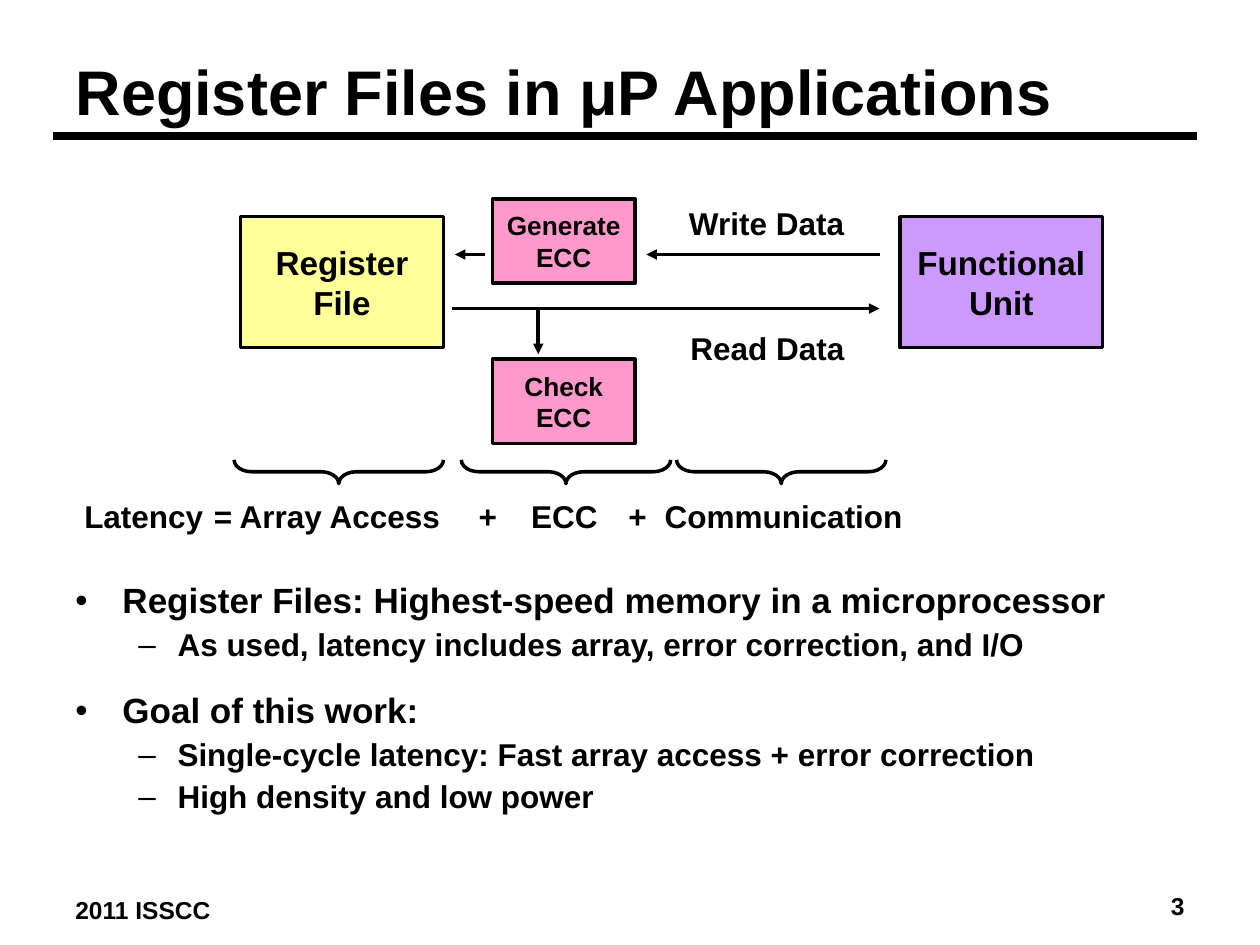
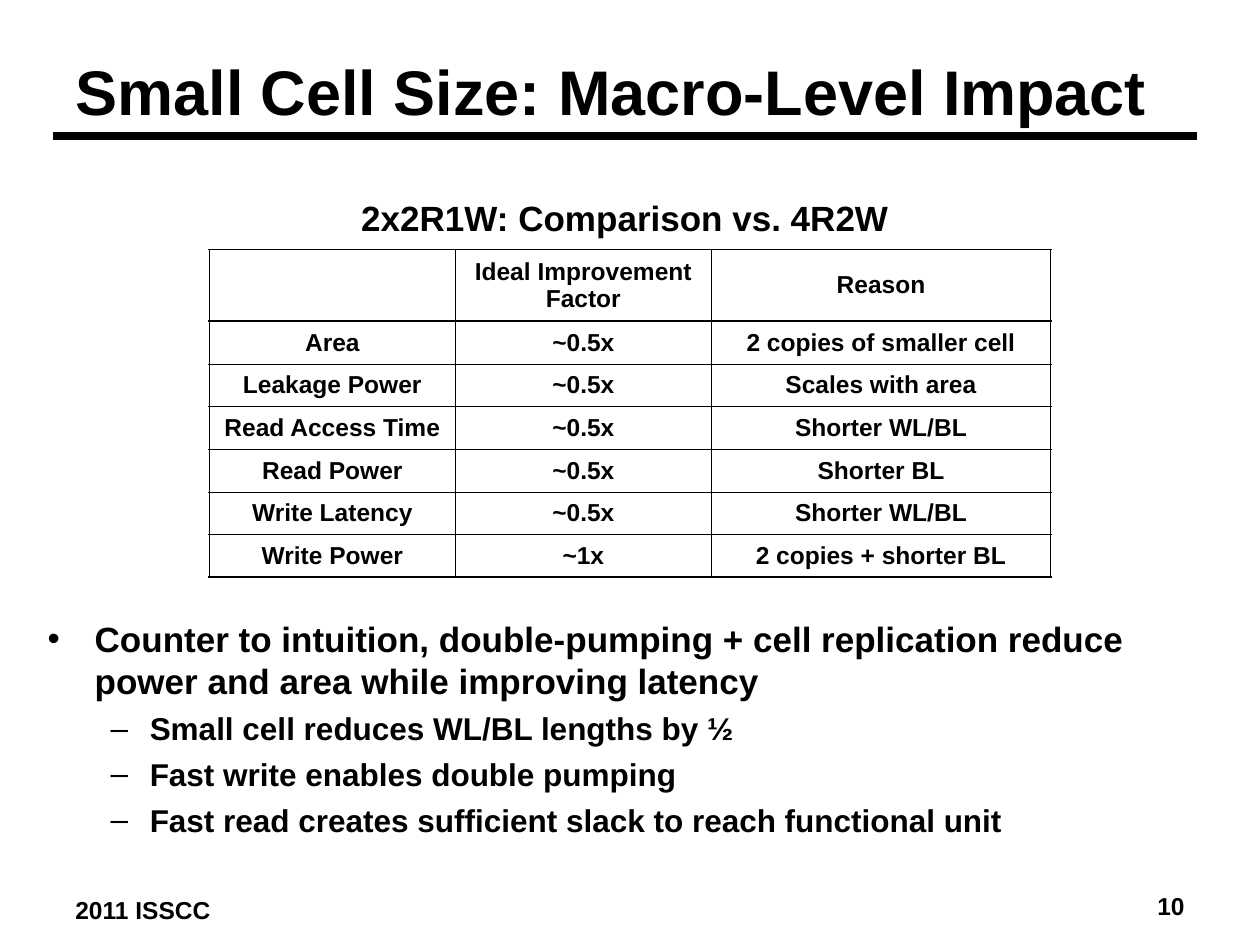
import pptx
import pptx.dml.color
import pptx.enum.shapes
import pptx.enum.text
import pptx.oxml.ns
import pptx.util
from lxml import etree

Cm, Pt = pptx.util.Cm, pptx.util.Pt
ALIGN = pptx.enum.text.PP_ALIGN
MIDDLE = pptx.enum.text.MSO_ANCHOR.MIDDLE
SHAPES = pptx.enum.shapes.MSO_SHAPE

# Shared style
FONT, BLACK = "Arial", "000000"
YELLOW, PINK, PURPLE = "FFFF99", "FF99CC", "CC99FF"
FOOTER = "2011 ISSCC"
INSET_X, INSET_Y = 0.25, 0.13
BULLETS = [  # per level: sign, size, left margin, hanging indent, space before
    ("•", 20, 0.95, 0.95, 17.5),
    ("–", 18, 2.06, 0.79, 4.5),
]

# Register file slide, lengths in cm
REGISTER_TITLE = "Register Files in μP Applications"
UNIT_SIZE, ECC_SIZE = (4.09, 2.64), (2.87, 1.7)
BLOCKS = [  # lines, left, top, size, fill, font size
    (["Functional", "Unit"], 18.14, 4.37, UNIT_SIZE, PURPLE, 19),
    (["Register", "File"], 4.85, 4.37, UNIT_SIZE, YELLOW, 19),
    (["Generate", "ECC"], 9.93, 4.01, ECC_SIZE, PINK, 15),
    (["Check", "ECC"], 9.93, 7.24, ECC_SIZE, PINK, 15),
]
ARROWS = [  # from x, y to x, y
    (17.73, 5.13, 13.03, 5.13),
    (9.78, 5.13, 9.17, 5.13),
    (9.12, 6.22, 17.73, 6.22),
    (10.85, 6.2, 10.85, 7.14),
]
DATA_LABELS = [("Write Data", 13.64, 3.99), ("Read Data", 13.67, 6.5)]
BRACE_LEFTS = [4.72, 9.3, 13.64]
BRACE_TOP, BRACE_WIDTH, BRACE_HEIGHT = 9.27, 4.22, 0.48
LATENCY_TOP = 9.88
LATENCY_TERMS = [
    ("Latency", 1.45), ("= Array Access", 4.06), ("+", 9.4),
    ("ECC", 10.46), ("+", 12.42), ("Communication", 13.15),
]
REGISTER_POINTS = [
    (0, "Register Files: Highest-speed memory in a microprocessor"),
    (1, "As used, latency includes array, error correction, and I/O"),
    (0, "Goal of this work:"),
    (1, "Single-cycle latency: Fast array access + error correction"),
    (1, "High density and low power"),
]

# Cell size slide
CELL_TITLE = "Small Cell Size: Macro-Level Impact"
TABLE_CAPTION = "2x2R1W: Comparison vs. 4R2W"
COLUMN_WIDTHS = [4.96, 5.16, 6.84]
HEADER_HEIGHT, ROW_HEIGHT = 1.44, 0.86
COMPARISON = [
    ("", "Ideal Improvement Factor", "Reason"),
    ("Area", "~0.5x", "2 copies of smaller cell"),
    ("Leakage Power", "~0.5x", "Scales with area"),
    ("Read Access Time", "~0.5x", "Shorter WL/BL"),
    ("Read Power", "~0.5x", "Shorter BL"),
    ("Write Latency", "~0.5x", "Shorter WL/BL"),
    ("Write Power", "~1x", "2 copies + shorter BL"),
]
CELL_POINTS = [
    (0, "Counter to intuition, double-pumping + cell replication reduce "
        "power and area while improving latency"),
    (1, "Small cell reduces WL/BL lengths by ½"),
    (1, "Fast write enables double pumping"),
    (1, "Fast read creates sufficient slack to reach functional unit"),
]


def color(value):
    return pptx.dml.color.RGBColor.from_string(value)


def add_xml(parent, tag, **attributes):
    return etree.SubElement(parent, pptx.oxml.ns.qn(tag), attributes)


def style(paragraph, size, align=ALIGN.LEFT):
    paragraph.alignment = align
    font = paragraph.font
    font.name, font.size, font.bold = FONT, Pt(size), True
    font.color.rgb = color(BLACK)


def set_line(line, width):
    line.color.rgb = color(BLACK)
    line.width = Pt(width)


def add_text(slide, text, left, top, width, height, size, align=ALIGN.LEFT):
    frame = slide.shapes.add_textbox(
        Cm(left), Cm(top), Cm(width), Cm(height)).text_frame
    frame.word_wrap = True
    frame.margin_left = frame.margin_right = Cm(INSET_X)
    frame.margin_top = frame.margin_bottom = Cm(INSET_Y)
    frame.text = text
    style(frame.paragraphs[0], size, align)
    return frame


def add_line(slide, ends, width, arrow=False):
    connector = slide.shapes.add_connector(
        pptx.enum.shapes.MSO_CONNECTOR.STRAIGHT, *[Cm(end) for end in ends])
    set_line(connector.line, width)
    if arrow:
        add_xml(connector.line._get_or_add_ln(), "a:tailEnd", type="triangle")
    add_xml(connector._element.spPr, "a:effectLst")


def add_bullets(slide, points, left, top, width, height, line_spacing):
    frame = add_text(slide, "", left, top, width, height, BULLETS[0][1])
    for index, (level, text) in enumerate(points):
        sign, size, margin, hanging, space_before = BULLETS[level]
        paragraph = frame.add_paragraph() if index else frame.paragraphs[0]
        paragraph.text, paragraph.level = text, level
        properties = paragraph._p.get_or_add_pPr()
        for child in list(properties):
            properties.remove(child)
        properties.set("marL", str(Cm(margin)))
        properties.set("indent", str(-Cm(hanging)))
        add_xml(add_xml(properties, "a:buClr"), "a:srgbClr", val=BLACK)
        add_xml(properties, "a:buFont", typeface=FONT)
        add_xml(properties, "a:buChar", char=sign)
        paragraph.line_spacing = line_spacing
        paragraph.space_before = Pt(space_before if index else 0)
        style(paragraph, size)


def add_slide(presentation, title_text, number):
    slide = presentation.slides.add_slide(presentation.slide_layouts[5])
    title = slide.shapes.title
    title.left, title.top = Cm(1.27), Cm(0.76)
    title.width, title.height = Cm(22.86), Cm(2.13)
    title.text_frame.text = title_text
    title.text_frame.vertical_anchor = MIDDLE
    title.text_frame.auto_size = pptx.enum.text.MSO_AUTO_SIZE.NONE
    style(title.text_frame.paragraphs[0], 36)
    add_line(slide, (1.07, 2.75, 24.13, 2.75), 4.5)
    add_text(slide, FOOTER, 1.27, 17.91, 5.92, 0.79, 14)
    add_text(slide, str(number), 18.21, 17.83, 5.92, 0.86, 14, ALIGN.RIGHT)
    return slide


def add_block(slide, lines, left, top, size, fill, font_size):
    block = slide.shapes.add_shape(
        SHAPES.RECTANGLE, Cm(left), Cm(top), Cm(size[0]), Cm(size[1]))
    block.shadow.inherit = False
    block.fill.solid()
    block.fill.fore_color.rgb = color(fill)
    set_line(block.line, 2)
    frame = block.text_frame
    frame.margin_left = frame.margin_right = 0
    frame.vertical_anchor = MIDDLE
    frame.text = "\n".join(lines)
    for paragraph in frame.paragraphs:
        style(paragraph, font_size, ALIGN.CENTER)


def add_brace(slide, left):
    # A left brace turned to point down keeps its centre
    shift = (BRACE_WIDTH - BRACE_HEIGHT) / 2
    brace = slide.shapes.add_shape(
        SHAPES.LEFT_BRACE, Cm(left + shift), Cm(BRACE_TOP - shift),
        Cm(BRACE_HEIGHT), Cm(BRACE_WIDTH))
    brace.rotation = 270
    brace.adjustments[0] = 0.74
    brace.shadow.inherit = False
    brace.fill.background()
    set_line(brace.line, 2)


def set_borders(cell, top, bottom):
    properties = cell._tc.get_or_add_tcPr()
    for index, (side, width) in enumerate(
            [("L", 1.08), ("R", 1.08), ("T", top), ("B", bottom)]):
        border = etree.Element(pptx.oxml.ns.qn(f"a:ln{side}"), w=str(Pt(width)))
        add_xml(add_xml(border, "a:solidFill"), "a:srgbClr", val=BLACK)
        properties.insert(index, border)


def add_comparison(slide, left, top):
    count = len(COMPARISON)
    heights = [HEADER_HEIGHT] + [ROW_HEIGHT] * (count - 1)
    table = slide.shapes.add_table(
        count, len(COLUMN_WIDTHS), Cm(left), Cm(top),
        Cm(sum(COLUMN_WIDTHS)), Cm(sum(heights))).table
    table.first_row = table.horz_banding = False
    for column, width in zip(table.columns, COLUMN_WIDTHS):
        column.width = Cm(width)
    for index, (row, values) in enumerate(zip(table.rows, COMPARISON)):
        row.height = Cm(heights[index])
        for cell, value in zip(row.cells, values):
            cell.text = value
            cell.vertical_anchor = MIDDLE
            cell.margin_left = cell.margin_right = Cm(INSET_X)
            cell.margin_top = cell.margin_bottom = Cm(INSET_Y)
            cell.fill.background()
            style(cell.text_frame.paragraphs[0], 14, ALIGN.CENTER)
            set_borders(cell, 1.08 if index < 2 else 0.45,
                        1.08 if index in (0, count - 1) else 0.45)


def build_register_slide(presentation):
    slide = add_slide(presentation, REGISTER_TITLE, 3)
    add_bullets(slide, REGISTER_POINTS, 1.27, 11.63, 22.86, 5.64, 0.9)
    for block in BLOCKS:
        add_block(slide, *block)
    for ends in ARROWS:
        add_line(slide, ends, 2, arrow=True)
    for text, left, top in DATA_LABELS:
        add_text(slide, text, left, top, 4, 1.02, 18)
    # Latency sum under the braces
    for left in BRACE_LEFTS:
        add_brace(slide, left)
    for text, left in LATENCY_TERMS:
        width = 1 + 0.36 * len(text)
        add_text(slide, text, left, LATENCY_TOP, width, 1.02, 18)


def build_cell_slide(presentation):
    slide = add_slide(presentation, CELL_TITLE, 10)
    add_bullets(slide, CELL_POINTS, 0.71, 12.32, 23.5, 5.51, 1.0)
    add_comparison(slide, 4.22, 5.03)
    add_text(slide, TABLE_CAPTION, 6.6, 3.84, 12, 1.12, 20, ALIGN.CENTER)


def main():
    presentation = pptx.Presentation()
    presentation.slide_width, presentation.slide_height = Cm(25.4), Cm(19.05)
    build_register_slide(presentation)
    build_cell_slide(presentation)
    presentation.save("out.pptx")


if __name__ == "__main__":
    main()
